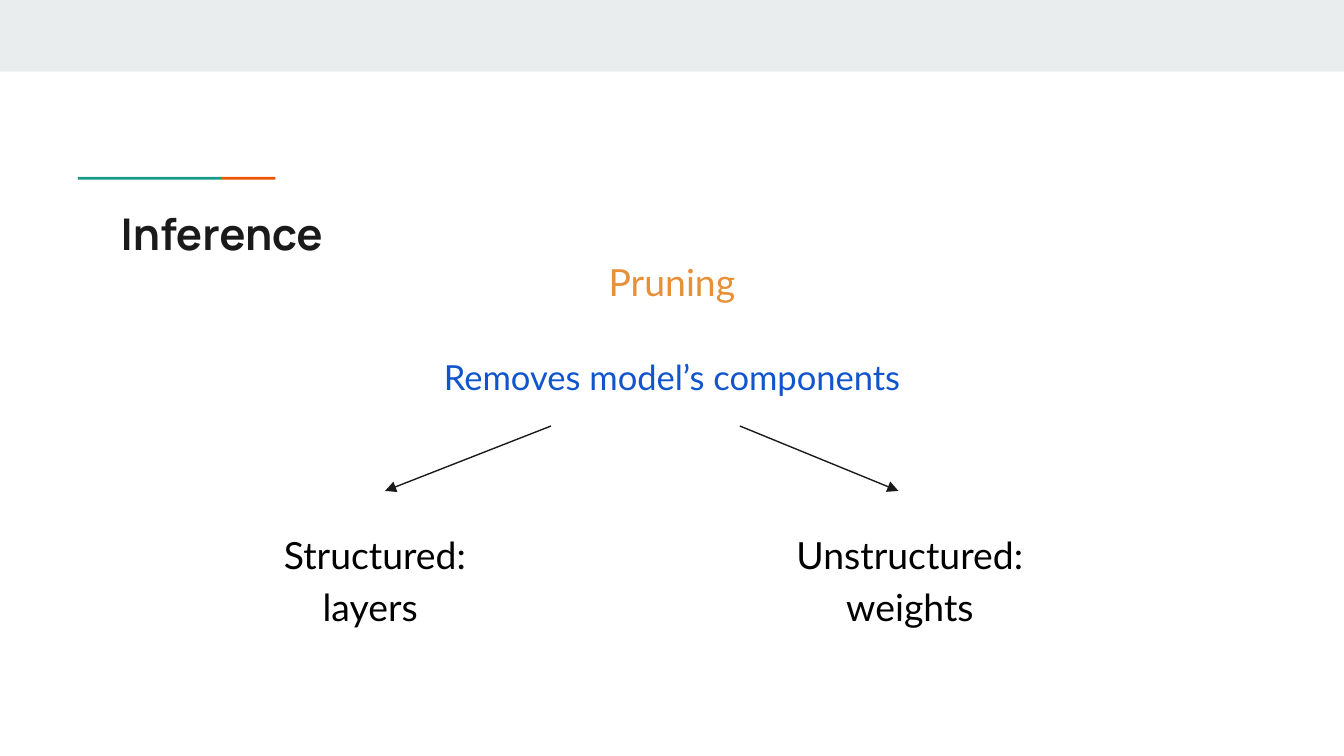
"""Build the slide on pruning for model inference."""
from dataclasses import dataclass

from lxml import etree
from pptx import Presentation
from pptx.dml.color import RGBColor
from pptx.enum.shapes import MSO_CONNECTOR, MSO_SHAPE
from pptx.enum.text import PP_ALIGN
from pptx.oxml.ns import qn
from pptx.slide import Slide
from pptx.util import Inches, Pt

RECT = MSO_SHAPE.RECTANGLE
LINE = MSO_CONNECTOR.STRAIGHT
LEFT, MID = PP_ALIGN.LEFT, PP_ALIGN.CENTER

PALE = RGBColor(0xE9, 0xED, 0xEE)
TEAL = RGBColor(0x1A, 0x99, 0x88)
RUST = RGBColor(0xEB, 0x56, 0x00)
INK = RGBColor(0x1A, 0x1A, 0x1A)
GOLD = RGBColor(0xE6, 0x91, 0x38)
BLUE = RGBColor(0x11, 0x55, 0xCC)
BLACK = RGBColor(0, 0, 0)

COLS, ROWS = 100, 56.25
CELL = Inches(0.1)


@dataclass(frozen=True)
class Box:
    """Area in grid columns and rows."""
    col: float
    row: float
    wide: float
    high: float

    def place(self) -> tuple[int, ...]:
        """Return left, top, width and height."""
        return tuple(map(grid, (self.col, self.row, self.wide, self.high)))


@dataclass(frozen=True)
class Bar:
    """Filled strip."""
    box: Box
    fill: RGBColor


@dataclass(frozen=True)
class Branch:
    """Kind of pruning with the arrow that leads to it."""
    text: str
    col: float
    start: float
    end: float


BARS = (
    Bar(Box(0, 0, COLS, 5.33), PALE),
    Bar(Box(5.8, 13.17, 10.65, 0.2), TEAL),
    Bar(Box(16.45, 13.17, 4.05, 0.2), RUST),
)
BRANCHES = (
    Branch("Structured:\nlayers ", 15.95, 41, 28.65),
    Branch("Unstructured:\nweights", 55.75, 55.05, 66.85),
)


def grid(count: float) -> int:
    """Turn a count of grid cells into a length."""
    return round(count * CELL)


def draw_bar(slide: Slide, bar: Bar) -> None:
    """Draw a strip with no outline."""
    shape = slide.shapes.add_shape(RECT, *bar.box.place())
    shape.shadow.inherit = False
    shape.fill.solid()
    shape.fill.fore_color.rgb = bar.fill
    shape.line.fill.background()


def write(slide: Slide, box: Box, text: str, *, size: float, color: RGBColor,
          font: str = "Lato", bold: bool = False, align: PP_ALIGN = MID,
          space: float = 1.0) -> None:
    """Write text in a box."""
    frame = slide.shapes.add_textbox(*box.place()).text_frame
    frame.word_wrap = True
    frame.margin_left = frame.margin_right = CELL
    frame.margin_top = frame.margin_bottom = CELL
    para = frame.paragraphs[0]
    para.text = text
    para.alignment = align
    para.line_spacing = space
    for run in para.runs:
        run.font.name = font
        run.font.size = Pt(size)
        run.font.bold = bold
        run.font.color.rgb = color


def draw_arrow(slide: Slide, start: float, end: float) -> None:
    """Draw an arrow down to a branch."""
    arrow = slide.shapes.add_connector(
        LINE, grid(start), grid(31.7), grid(end), grid(36.53))
    arrow.line.color.rgb = INK
    arrow.line.width = Pt(0.75)
    props = arrow._element.spPr
    etree.SubElement(props.find(qn("a:ln")), qn("a:tailEnd"),
                     type="triangle", w="med", len="med")
    etree.SubElement(props, qn("a:effectLst"))


def main() -> None:
    """Build and save the slide."""
    deck = Presentation()
    deck.slide_width, deck.slide_height = grid(COLS), grid(ROWS)
    slide = deck.slides.add_slide(deck.slide_layouts[6])
    for bar in BARS:
        draw_bar(slide, bar)
    write(slide, Box(8, 14.4, 84.1, 5.9), "Inference", size=23.4, color=INK,
          font="Manrope", bold=True, align=LEFT)
    write(slide, Box(43.75, 18.3, 12.5, 5.4), "Pruning", size=20, color=GOLD)
    write(slide, Box(28.45, 25, 43.1, 6.9), "Removes model’s components",
          size=18.5, color=BLUE, space=1.15)
    for branch in BRANCHES:
        draw_arrow(slide, branch.start, branch.end)
        write(slide, Box(branch.col, 38.13, 23.9, 11.1), branch.text,
              size=20, color=BLACK, space=1.15)
    deck.save("out.pptx")


if __name__ == "__main__":
    main()
